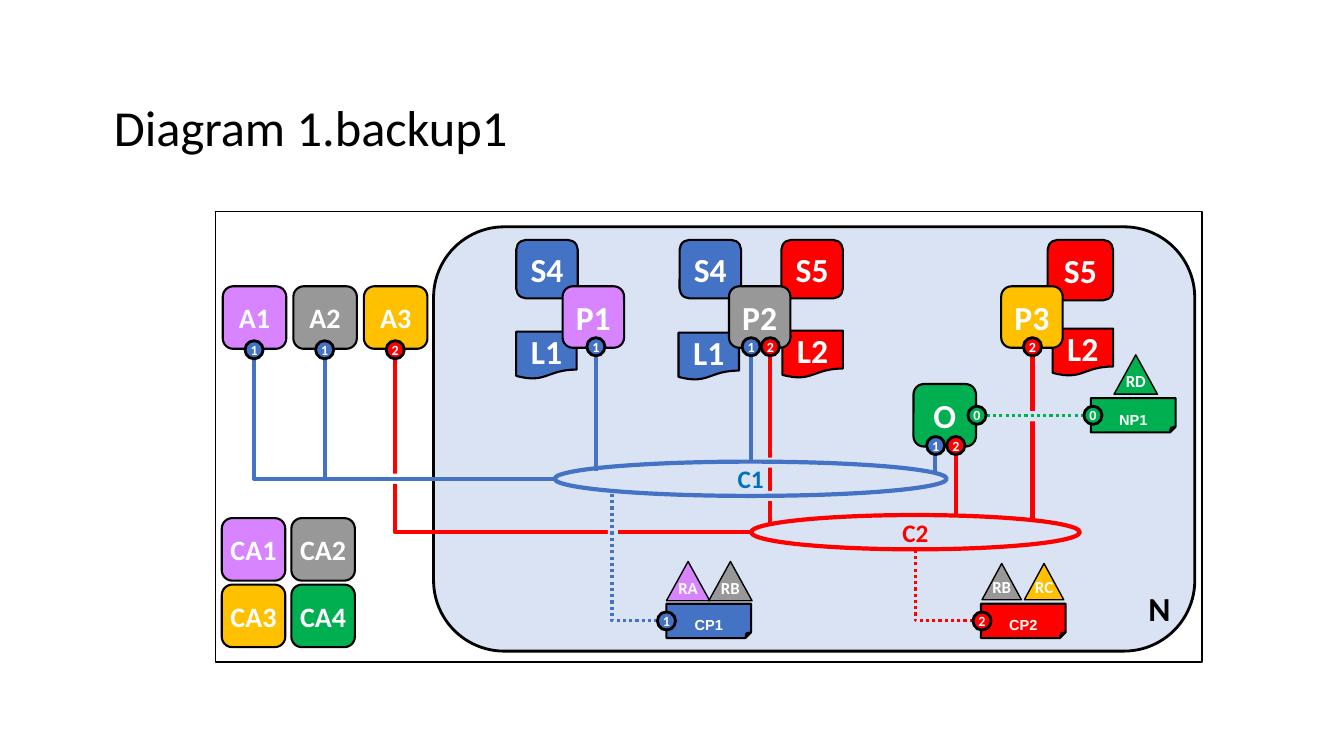
from dataclasses import dataclass

from lxml.etree import SubElement
from pptx import Presentation
from pptx.dml.color import RGBColor
from pptx.enum.dml import MSO_LINE
from pptx.enum.shapes import MSO_CONNECTOR, MSO_SHAPE
from pptx.enum.text import MSO_ANCHOR, PP_ALIGN
from pptx.oxml.ns import qn
from pptx.util import Inches, Pt


@dataclass(frozen=True)
class Theme:
    blue: str = "4472C4"
    red: str = "FF0000"
    green: str = "00B050"
    purple: str = "D883FF"
    gray: str = "989898"
    gold: str = "FFC000"
    panel: str = "DAE3F3"
    label: str = "0070C0"
    black: str = "000000"
    white: str = "FFFFFF"
    font: str = "Calibri"
    plate_font: str = "Arial"
    title: int = 36
    node: int = 24
    agent: int = 20
    ring: int = 18
    role: int = 12
    port: int = 10


T = Theme()


def set_all(obj, values):
    for name, value in values.items():
        setattr(obj, name, value)


class Diagram:
    def __init__(self, prs):
        self.s = prs.slides.add_slide(prs.slide_layouts[6])

    def text(self, sp, text, size, color=T.white, font=T.font, bold=True,
             align=PP_ALIGN.CENTER, insets=(0, 0.05, 0, 0.05), baseline=None):
        tf = sp.text_frame
        left, top, right, bottom = map(Inches, insets)
        set_all(tf, dict(word_wrap=True, vertical_anchor=MSO_ANCHOR.MIDDLE,
                         margin_left=left, margin_top=top,
                         margin_right=right, margin_bottom=bottom))
        p = tf.paragraphs[0]
        p.alignment = align
        r = p.add_run()
        r.text = text
        set_all(r.font, dict(name=font, size=Pt(size), bold=bold))
        r.font.color.rgb = RGBColor.from_string(color)
        if baseline:
            r._r.get_or_add_rPr().set("baseline", str(baseline))
        return p

    def label(self, x, y, w, h, text, size, **fmt):
        sp = self.s.shapes.add_textbox(*map(Inches, (x, y, w, h)))
        return self.text(sp, text, size, **fmt)

    def shape(self, kind, x, y, w, h, fill=None, line=T.black, weight=1.5):
        sp = self.s.shapes.add_shape(kind, *map(Inches, (x, y, w, h)))
        sp.shadow.inherit = False
        if fill:
            sp.fill.solid()
            sp.fill.fore_color.rgb = RGBColor.from_string(fill)
        else:
            sp.fill.background()
        if line:
            sp.line.color.rgb = RGBColor.from_string(line)
            sp.line.width = Pt(weight)
        else:
            sp.line.fill.background()
        return sp

    def box(self, x, y, w, h, text, fill, size=T.node):
        sp = self.shape(MSO_SHAPE.ROUNDED_RECTANGLE, x, y, w, h, fill)
        self.text(sp, text, size)

    def document(self, x, y, text, fill):
        sp = self.shape(MSO_SHAPE.FLOWCHART_DOCUMENT, x, y, 0.6, 0.47, fill)
        self.text(sp, text, T.node)

    def plate(self, x, y, text, fill):
        sp = self.shape(MSO_SHAPE.FOLDED_CORNER, x, y, 0.84, 0.34, fill)
        self.text(sp, text, T.ring, font=T.plate_font,
                  insets=(0.04, 0.05, 0.04, 0.08), baseline=-25000)

    def role(self, x, y, w, h, text, fill):
        sp = self.shape(MSO_SHAPE.ISOSCELES_TRIANGLE, x, y, w, h, fill, weight=1)
        self.text(sp, text, T.role, insets=(0, 0.05, 0, 0.12))

    def port(self, cx, cy, text):
        fill = {"0": T.green, "1": T.blue, "2": T.red}[text]
        sp = self.shape(MSO_SHAPE.OVAL, cx - 0.09, cy - 0.09, 0.18, 0.18, fill, weight=2)
        self.text(sp, text, T.port, insets=(0, 0, 0, 0))

    def ring(self, x, y, w, text, line, color):
        sp = self.shape(MSO_SHAPE.OVAL, x, y, w, 0.34, line=line, weight=3)
        self.text(sp, text, T.ring, color)

    def gap(self, cx, cy, fill=T.panel):
        self.shape(MSO_SHAPE.RECTANGLE, cx - 0.05, cy - 0.05, 0.1, 0.1, fill, line=None)

    def link(self, x1, y1, x2, y2, color, dotted=False, bent=False):
        kind = MSO_CONNECTOR.ELBOW if bent else MSO_CONNECTOR.STRAIGHT
        # A bent link is drawn from its far end, so that it runs flat and then up
        ends = (x2, y2, x1, y1) if bent else (x1, y1, x2, y2)
        c = self.s.shapes.add_connector(kind, *map(Inches, ends))
        c.line.color.rgb = RGBColor.from_string(color)
        c.line.width = Pt(2.25 if dotted else 3)
        if dotted:
            c.line.dash_style = MSO_LINE.ROUND_DOT
        spPr = c._element.spPr
        if bent:
            spPr.find(qn("a:prstGeom")).set("prst", "bentConnector2")
        SubElement(spPr, qn("a:effectLst"))


prs = Presentation()
prs.slide_width, prs.slide_height = Inches(13.33), Inches(7.5)
d = Diagram(prs)

# Title, network panel and frame
d.shape(MSO_SHAPE.ROUNDED_RECTANGLE, 4.3, 2.25, 7.55, 4.21, T.panel, weight=2)
d.label(11.28, 5.78, 0.44, 0.5, "N", T.node, color=T.black)
d.shape(MSO_SHAPE.RECTANGLE, 2.14, 2.1, 9.78, 4.47, weight=1)
p = d.label(1.08, 0.57, 11.5, 1.45, "Diagram 1.backup1", T.title, color=T.black,
            bold=False, align=PP_ALIGN.LEFT, insets=(0.05,) * 4)
p.line_spacing = 0.9

# Red links, with gaps where other links cross them
for x, top, bottom in [(9.48, 4.51, 5.11), (10.24, 3.53, 5.16), (7.64, 3.53, 5.2)]:
    d.link(x, top, x, bottom, T.red)
d.link(3.92, 3.56, 7.45, 5.28, T.red, bent=True)
for x, y in [(7.65, 4.59), (7.65, 4.92), (10.24, 4.13), (6.08, 5.28)]:
    d.gap(x, y)
d.gap(3.92, 4.75, T.white)

# Blue links
for x, top, bottom in [(9.27, 4.51, 4.69), (7.45, 3.53, 4.58), (5.91, 3.53, 4.67)]:
    d.link(x, top, x, bottom, T.blue)
for x in (2.52, 3.22):
    d.link(x, 3.56, 5.5, 4.75, T.blue, bent=True)

# Channels and dotted links
d.ring(5.5, 4.58, 3.89, "C1", T.blue, T.label)
d.ring(7.45, 5.11, 3.26, "C2", T.red, T.red)
d.link(9.6, 4.12, 10.92, 4.12, T.green, dotted=True)
d.link(6.07, 4.87, 6.52, 6.16, T.blue, dotted=True, bent=True)
d.link(9.08, 5.45, 9.65, 6.16, T.red, dotted=True, bent=True)

# Services and ledgers
for x, w, h, text, fill in [(5.12, 0.61, 0.58, "S4", T.blue), (6.74, 0.61, 0.58, "S4", T.blue),
                            (7.75, 0.61, 0.58, "S5", T.red), (10.39, 0.65, 0.6, "S5", T.red)]:
    d.box(x, 2.38, w, h, text, fill)
for x, y, text, fill in [(5.12, 3.29, "L1", T.blue), (6.73, 3.3, "L1", T.blue),
                         (7.76, 3.28, "L2", T.red), (10.44, 3.26, "L2", T.red)]:
    d.document(x, y, text, fill)

# Peers and orderer
for x, text, fill in [(5.58, "P1", T.purple), (7.23, "P2", T.gray), (9.93, "P3", T.gold)]:
    d.box(x, 2.84, 0.61, 0.61, text, fill)
d.box(9.06, 3.81, 0.62, 0.62, "O", T.green)

# Applications and certificate authorities
for i, fill in enumerate((T.purple, T.gray, T.gold)):
    d.box(2.21 + 0.7 * i, 2.84, 0.63, 0.62, f"A{i + 1}", fill, T.agent)
for i, fill in enumerate((T.purple, T.gray, T.gold, T.green)):
    row, col = divmod(i, 2)
    d.box(2.2 + 0.69 * col, 5.14 + 0.66 * row, 0.63, 0.62, f"CA{i + 1}", fill, T.agent)

# Policies with their roles
for x, y, text, fill in [(6.61, 5.99, "CP1", T.blue), (9.73, 5.99, "CP2", T.red),
                         (10.82, 3.95, "NP1", T.green)]:
    d.plate(x, y, text, fill)
for x, y, w, h, text, fill in [
        (11.05, 3.52, 0.43, 0.39, "RD", T.green),
        (6.61, 5.57, 0.43, 0.39, "RA", T.purple), (7.03, 5.57, 0.43, 0.39, "RB", T.gray),
        (9.74, 5.59, 0.39, 0.36, "RB", T.gray), (10.16, 5.59, 0.39, 0.36, "RC", T.gold)]:
    d.role(x, y, w, h, text, fill)

# Ports
ports = {3.47: [(2.52, "1"), (3.22, "1"), (3.92, "2")],
         3.44: [(5.91, "1"), (7.45, "1"), (7.64, "2"), (10.24, "2")],
         4.42: [(9.48, "2"), (9.28, "1")],
         4.12: [(9.69, "0"), (10.84, "0")],
         6.16: [(6.61, "1"), (9.74, "2")]}
for y, row in ports.items():
    for x, text in row:
        d.port(x, y, text)

prs.save("out.pptx")
